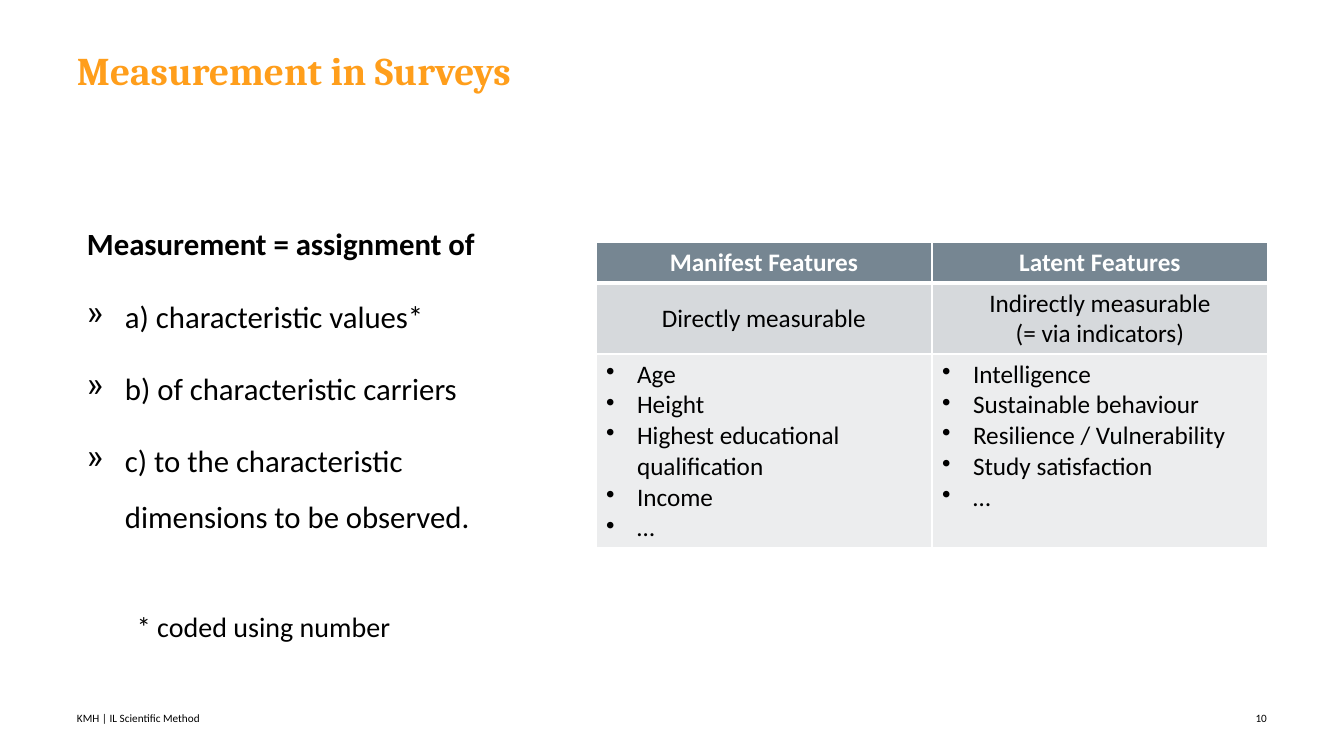
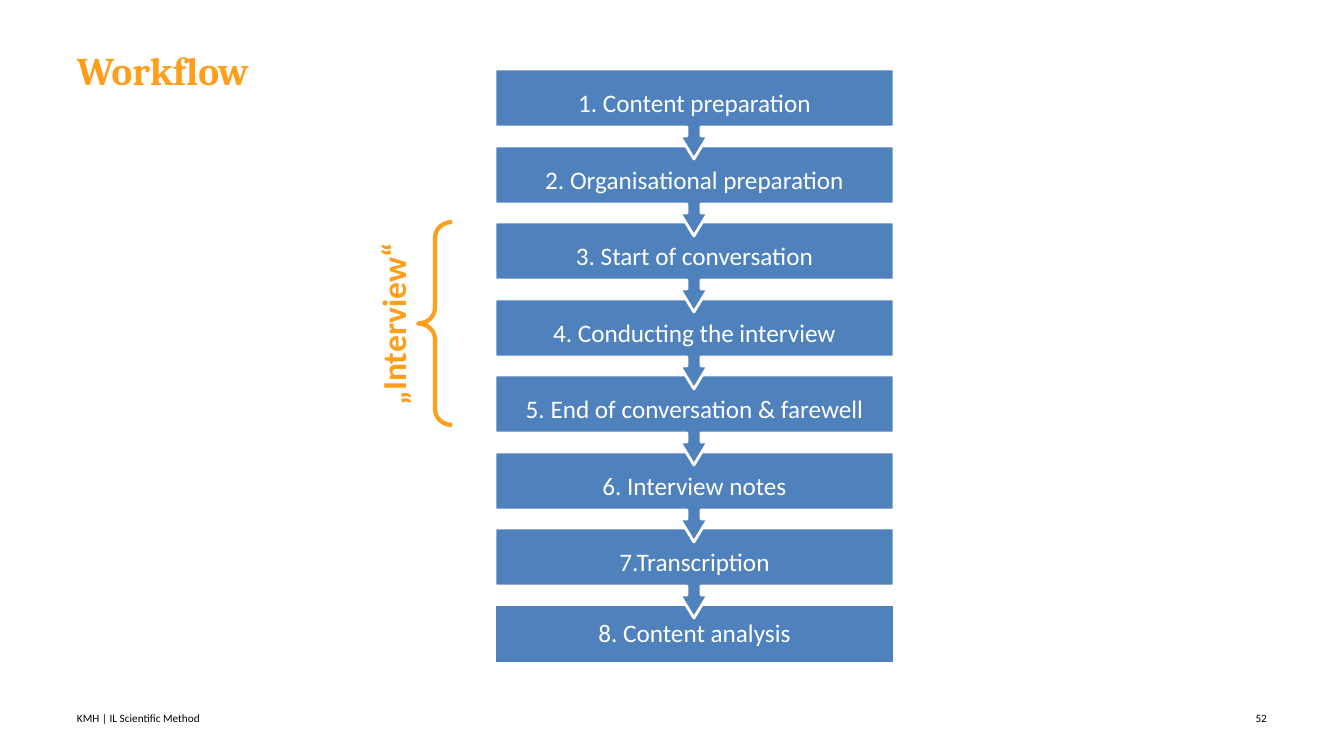
from lxml.etree import SubElement
from pptx import Presentation
from pptx.dml.color import RGBColor
from pptx.enum.shapes import MSO_SHAPE
from pptx.enum.text import MSO_ANCHOR, PP_ALIGN
from pptx.oxml.ns import qn
from pptx.util import Emu, Pt

SLIDE_WIDTH, SLIDE_HEIGHT = 1344, 756
EMU_PER_PX = 12192000 / SLIDE_WIDTH

BODY_FONT, TITLE_FONT = "Calibri", "Cambria"
ORANGE, BLACK, WHITE = "FF9E1B", "000000", "FFFFFF"
STEP_BLUE = "4F81BD"
ROW_FILLS = ["768692", "D6D9DC", "ECEDEE"]
MARGIN = 77
FOOTER = "KMH | IL Scientific Method"
NO_INSETS = (0, 0, 0, 0)
DEFAULT_INSETS = (10, 5, 10, 5)

ASSIGNMENTS = [
    "a) characteristic values*",
    "b) of characteristic carriers",
    "c) to the characteristic dimensions to be observed.",
]
FEATURES = [
    ["Manifest Features", "Latent Features"],
    ["Directly measurable", "Indirectly measurable\n(= via indicators)"],
]
EXAMPLES = [
    ["Age", "Height", "Highest educational qualification", "Income", "…"],
    ["Intelligence", "Sustainable behaviour", "Resilience / Vulnerability",
     "Study satisfaction", "…"],
]
STEPS = [
    "1. Content preparation",
    "2. Organisational preparation",
    "3. Start of conversation",
    "4. Conducting the interview",
    "5. End of conversation & farewell",
    "6. Interview notes",
    "7.Transcription",
    "8. Content analysis",
]


def px(length):
    """Turn a pixel length into EMU."""
    return Emu(round(length * EMU_PER_PX))


def color(value):
    """Turn a hex string into a colour."""
    return RGBColor.from_string(value)


def write(frame, text, size=18, fill=BLACK, font=BODY_FONT, bold=False,
          align=PP_ALIGN.LEFT, line=1.0, before=0, after=0, margin=0, bullet=None):
    """Add one formatted paragraph to a text frame."""
    paragraph = frame.paragraphs[0]
    if paragraph.runs:
        paragraph = frame.add_paragraph()
        paragraph.space_before = Pt(before)
    properties = paragraph._p.get_or_add_pPr()
    properties.set("marL", str(px(margin)))
    properties.set("indent", str(-px(margin) if bullet else 0))
    if bullet:
        SubElement(properties, qn("a:buChar")).set("char", bullet)
    paragraph.text = text
    paragraph.alignment = align
    paragraph.line_spacing = line
    paragraph.space_after = Pt(after)
    for run in paragraph.runs:
        run.font.name = font
        run.font.size = Pt(size)
        run.font.bold = bold
        run.font.color.rgb = color(fill)


def prepare_frame(frame, insets, anchor):
    """Set wrapping, insets and anchor of a text frame."""
    frame.word_wrap = True
    frame.vertical_anchor = anchor
    (frame.margin_left, frame.margin_top,
     frame.margin_right, frame.margin_bottom) = map(px, insets)
    return frame


def add_text_area(slide, left, top, width, height, insets=NO_INSETS,
                  anchor=MSO_ANCHOR.MIDDLE, rotation=0):
    """Add an empty text box and return its frame."""
    area = slide.shapes.add_textbox(px(left), px(top), px(width), px(height))
    area.rotation = rotation
    return prepare_frame(area.text_frame, insets, anchor)


def add_titled_slide(deck, title, number):
    """Add a slide with title, footer and page number."""
    slide = deck.slides.add_slide(deck.slide_layouts[6])
    write(add_text_area(slide, 1212, 710, 55, 16), number, size=8, align=PP_ALIGN.RIGHT)
    write(add_text_area(slide, MARGIN, 52, 984, 88, anchor=MSO_ANCHOR.TOP), title,
          size=28, fill=ORANGE, font=TITLE_FONT, bold=True, line=0.9)
    write(add_text_area(slide, MARGIN, 710, 563, 16), FOOTER, size=8)
    return slide


def add_border(cell, side, points):
    """Draw one white cell border."""
    border = SubElement(cell._tc.get_or_add_tcPr(), qn(f"a:ln{side}"), w=str(Pt(points)))
    solid = SubElement(border, qn("a:solidFill"))
    SubElement(solid, qn("a:srgbClr"), val=WHITE)


def style_cell(cell, row):
    """Give a cell the borders and fill of its row."""
    for side in "LRTB":
        under_header = (row, side) in [(0, "B"), (1, "T")]
        add_border(cell, side, 3 if under_header else 1)
    cell.fill.solid()
    cell.fill.fore_color.rgb = color(ROW_FILLS[row])
    cell.vertical_anchor = MSO_ANCHOR.MIDDLE if row == 1 else MSO_ANCHOR.TOP


def add_feature_table(slide, left, top, column_width, row_heights):
    """Add the table of manifest and latent features."""
    columns = len(EXAMPLES)
    table = slide.shapes.add_table(
        len(row_heights), columns, px(left), px(top),
        px(column_width * columns), px(sum(row_heights))).table
    table.first_row = table.horz_banding = False
    for column in table.columns:
        column.width = px(column_width)
    for row, height in enumerate(row_heights):
        table.rows[row].height = px(height)
        for column in range(columns):
            cell = table.cell(row, column)
            style_cell(cell, row)
            if row < len(FEATURES):
                write(cell.text_frame, FEATURES[row][column], align=PP_ALIGN.CENTER,
                      fill=BLACK if row else WHITE, bold=row == 0)
            else:
                for example in EXAMPLES[column]:
                    write(cell.text_frame, example, margin=31, bullet="•")


def add_step(slide, text, left, top, width, height, has_arrow):
    """Add a step box, with an arrow to the next step if asked."""
    right, bottom, middle = left + width, top + height, left + width // 2
    stem, head, neck, tip = 7, 14, bottom + 9, bottom + 32
    arrow = [
        (middle + stem, bottom), (middle + stem, neck), (middle + head, neck),
        (middle, tip),
        (middle - head, neck), (middle - stem, neck), (middle - stem, bottom),
    ]
    outline = slide.shapes.build_freeform(right, bottom, scale=EMU_PER_PX)
    outline.add_line_segments(
        (arrow if has_arrow else []) + [(left, bottom), (left, top), (right, top)])
    step = outline.convert_to_shape()
    step.shadow.inherit = False
    step.fill.solid()
    step.fill.fore_color.rgb = color(STEP_BLUE)
    step.line.color.rgb = color(WHITE)
    step.line.width = Pt(2)
    insets = (10, 11, 10, 30) if has_arrow else (10, 10, 10, 10)
    frame = prepare_frame(step.text_frame, insets, MSO_ANCHOR.MIDDLE)
    write(frame, text, fill=WHITE, align=PP_ALIGN.CENTER, line=0.9)


def add_brace(slide, left, top, width, height):
    """Add an orange brace that opens to the right."""
    brace = slide.shapes.add_shape(
        MSO_SHAPE.LEFT_BRACE, px(left), px(top), px(width), px(height))
    brace.shadow.inherit = False
    brace.adjustments[0] = 0.46
    brace.fill.background()
    brace.line.color.rgb = color(ORANGE)
    brace.line.width = Pt(3)


def build_measurement(deck):
    """Build the slide on measurement in surveys."""
    slide = add_titled_slide(deck, "Measurement in Surveys", "10")
    definition = add_text_area(slide, MARGIN, 171, 462, 508, insets=DEFAULT_INSETS)
    spacing = {"line": 1.5, "before": 6, "after": 6}
    write(definition, "Measurement = assignment of", size=22, bold=True, **spacing)
    for assignment in ASSIGNMENTS:
        write(definition, assignment, size=22, margin=38, bullet="»", **spacing)
    write(definition, "* coded using number", size=20, margin=50,
          **{**spacing, "before": 36})
    add_feature_table(slide, 596, 242, 336, [41, 71, 194])


def build_workflow(deck):
    """Build the slide on the interview workflow."""
    slide = add_titled_slide(deck, "Workflow", "52")
    first_top, last_top = 69, 605
    last = len(STEPS) - 1
    for index, text in reversed(list(enumerate(STEPS))):
        top = first_top + round(index * (last_top - first_top) / last)
        add_step(slide, text, 495, top, 399, 58, has_arrow=index < last)
    add_brace(slide, 418, 222, 34, 203)
    label = add_text_area(slide, 289, 299, 207, 50, insets=DEFAULT_INSETS,
                          anchor=MSO_ANCHOR.TOP, rotation=270)
    write(label, "„Interview“", size=24, fill=ORANGE, bold=True, align=PP_ALIGN.CENTER)


def main():
    """Build and save the deck."""
    deck = Presentation()
    deck.slide_width, deck.slide_height = px(SLIDE_WIDTH), px(SLIDE_HEIGHT)
    build_measurement(deck)
    build_workflow(deck)
    deck.save("out.pptx")


if __name__ == "__main__":
    main()
